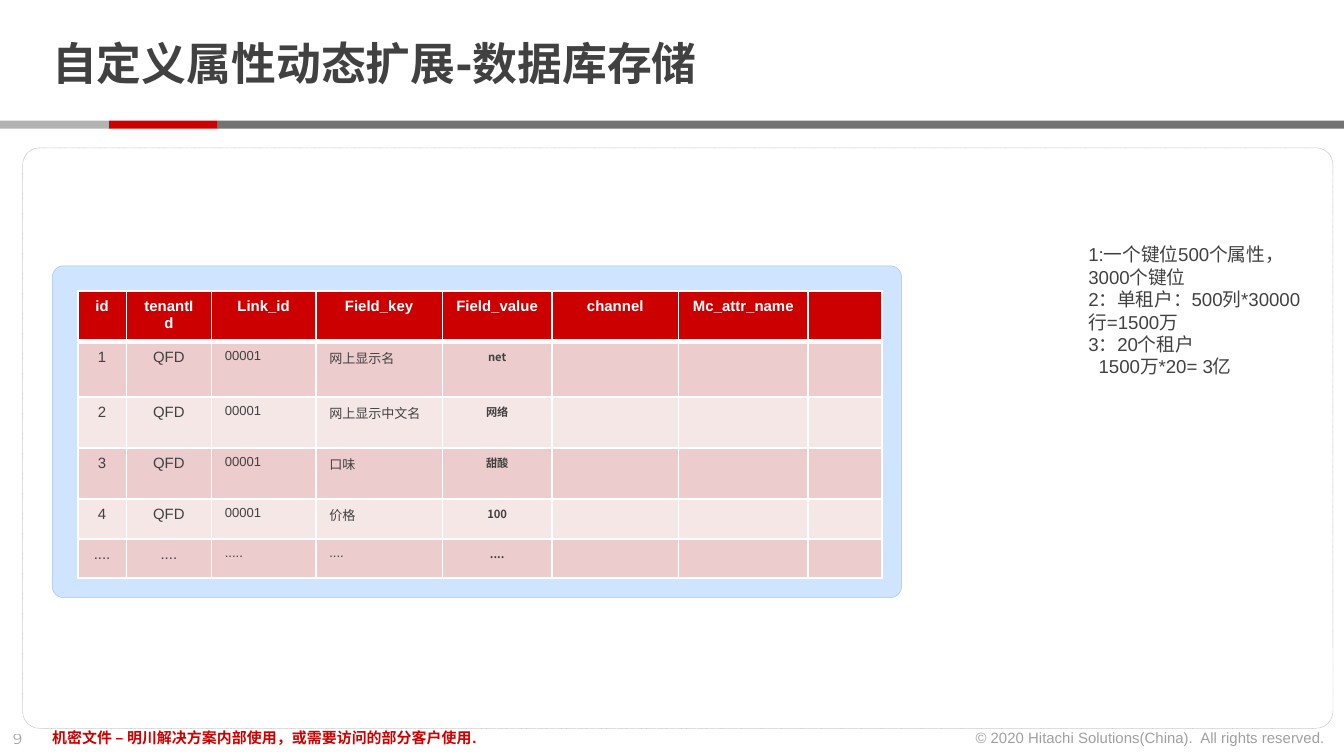
import pptx
import pptx.util
import pptx.dml.color
import pptx.enum.dml
import pptx.enum.shapes
import pptx.enum.text
import lxml.etree
from pptx.oxml.ns import qn

Pt = pptx.util.Pt
ALIGN = pptx.enum.text.PP_ALIGN
ANCHOR = pptx.enum.text.MSO_ANCHOR
SHAPE = pptx.enum.shapes.MSO_SHAPE


def paint(color, value, alpha=None):
    color.rgb = pptx.dml.color.RGBColor.from_string(value)
    if alpha:
        tint = lxml.etree.SubElement(color._xFill[0], qn("a:alpha"))
        tint.set("val", str(alpha * 1000))


def write(frame, text, size=8, font="Arial", color="414141", alpha=None, bold=False,
          align=ALIGN.LEFT, spacing=None, wrap=True, anchor=ANCHOR.TOP):
    frame.word_wrap = wrap
    frame.vertical_anchor = anchor
    for index, line in enumerate(text.split("\n")):
        paragraph = frame.add_paragraph() if index else frame.paragraphs[0]
        paragraph.alignment = align
        paragraph.line_spacing = spacing
        if not line:
            lxml.etree.SubElement(paragraph._p, qn("a:endParaRPr"), sz=str(size * 100))
            continue
        run = paragraph.add_run()
        run.text = line
        run.font.size = Pt(size)
        run.font.name = font
        run.font.bold = bold
        paint(run.font.color, color, alpha)


deck = pptx.Presentation()
deck.slide_width, deck.slide_height = Pt(720), Pt(405)
slide = deck.slides.add_slide(deck.slide_layouts[6])
shapes = slide.shapes

for left, width, color in [(116.6, 603.4, "737373"), (58.3, 58.3, "CC0000"), (0, 58.3, "B3B3B3")]:
    band = shapes.add_shape(SHAPE.RECTANGLE, Pt(left), Pt(64.6), Pt(width), Pt(4.3))
    band.shadow.inherit = False
    band.fill.solid()
    paint(band.fill.fore_color, color)
    band.line.fill.background()

panels = [
    (12.1, 79.2, 702, 311, 0.029, None, "B3B3B3"),
    (28, 142.4, 455, 177.8, 0.034, "B3D7FF", "A3C4EA"),
]
for left, top, width, height, corner, color, edge in panels:
    panel = shapes.add_shape(SHAPE.ROUNDED_RECTANGLE, Pt(left), Pt(top), Pt(width), Pt(height))
    panel.shadow.inherit = False
    panel.adjustments[0] = corner
    panel.line.width = Pt(0.25)
    paint(panel.line.color, edge)
    if color:
        panel.fill.solid()
        paint(panel.fill.fore_color, color, 63)
    else:
        panel.fill.background()
        panel.line.dash_style = pptx.enum.dml.MSO_LINE.ROUND_DOT

texts = [
    (0, 387.4, 24.5, 17.3, "9", dict(font="Montserrat", alpha=50)),
    (512.6, 386.6, 204.5, 17.3, "© 2020 Hitachi Solutions(China).  All rights reserved.",
     dict(alpha=50, align=ALIGN.RIGHT, wrap=False)),
    (20.9, 386.6, 485.3, 17.3, "机密文件 – 明川解决方案内部使用，或需要访问的部分客户使用.",
     dict(color="CC0000", bold=True)),
    (20.9, 9.4, 555, 52.6, "自定义属性动态扩展-数据库存储",
     dict(size=24, font="Montserrat", bold=True, spacing=0.85, anchor=ANCHOR.MIDDLE)),
    (576, 126.7, 136.8, 92.2,
     "1:一个键位500个属性，3000个键位\n2：单租户：500列*30000行=1500万\n3：20个租户\n1500万*20= 3亿",
     dict(size=10)),
]
for left, top, width, height, text, style in texts:
    box = shapes.add_textbox(Pt(left), Pt(top), Pt(width), Pt(height))
    write(box.text_frame, text, **style)
    if style.get("anchor"):
        box.text_frame.margin_top = box.text_frame.margin_bottom = 0
total = box.text_frame.paragraphs[-1]
total._p.get_or_add_pPr().set("marL", str(Pt(5.5)))

records = [
    ["id", "tenantId", "Link_id", "Field_key", "Field_value", "channel", "Mc_attr_name", ""],
    ["1", "QFD", "00001", "网上显示名", "net", "", "", ""],
    ["2", "QFD", "00001", "网上显示中文名", "网络", "", "", ""],
    ["3", "QFD", "00001", "口味", "甜酸", "", "", ""],
    ["4", "QFD", "00001", "价格", "100", "", "", ""],
    ["....", "....", ".....", "....", "....", "", "", ""],
]
widths = [26, 45.6, 56, 67.7, 58.8, 67.8, 69.5, 39.6]
heights = [27.2, 29.4, 27.4, 27.4, 21.4, 21]
key_style = dict(align=ALIGN.CENTER)
detail_style = dict(size=7)
value_style = dict(size=6, font="Noto Sans CJK SC", bold=True, align=ALIGN.CENTER)
column_styles = [key_style] * 2 + [detail_style] * 2 + [value_style] + [key_style] * 3
header_style = dict(color="FFFFFF", bold=True, align=ALIGN.CENTER)

attributes = shapes.add_table(len(records), len(widths), Pt(41.7), Pt(156),
                              Pt(sum(widths)), Pt(sum(heights))).table
attributes.horz_banding = False
for column, width in zip(attributes.columns, widths):
    column.width = Pt(width)
for r, (record, height) in enumerate(zip(records, heights)):
    attributes.rows[r].height = Pt(height)
    for c, text in enumerate(record):
        cell = attributes.cell(r, c)
        write(cell.text_frame, text, **(column_styles[c] if r else header_style))
        cell.margin_bottom = 0
        properties = cell._tc.get_or_add_tcPr()
        for side in "LRTB":
            thick = (r, side) in [(0, "B"), (1, "T")]
            border = lxml.etree.SubElement(properties, qn("a:ln" + side), w=str(Pt(3 if thick else 1)))
            stroke = lxml.etree.SubElement(border, qn("a:solidFill"))
            lxml.etree.SubElement(stroke, qn("a:srgbClr"), val="FFFFFF")
        cell.fill.solid()
        paint(cell.fill.fore_color, ("ECCCCC" if r % 2 else "F6E7E7") if r else "CC0000")

deck.save("out.pptx")
